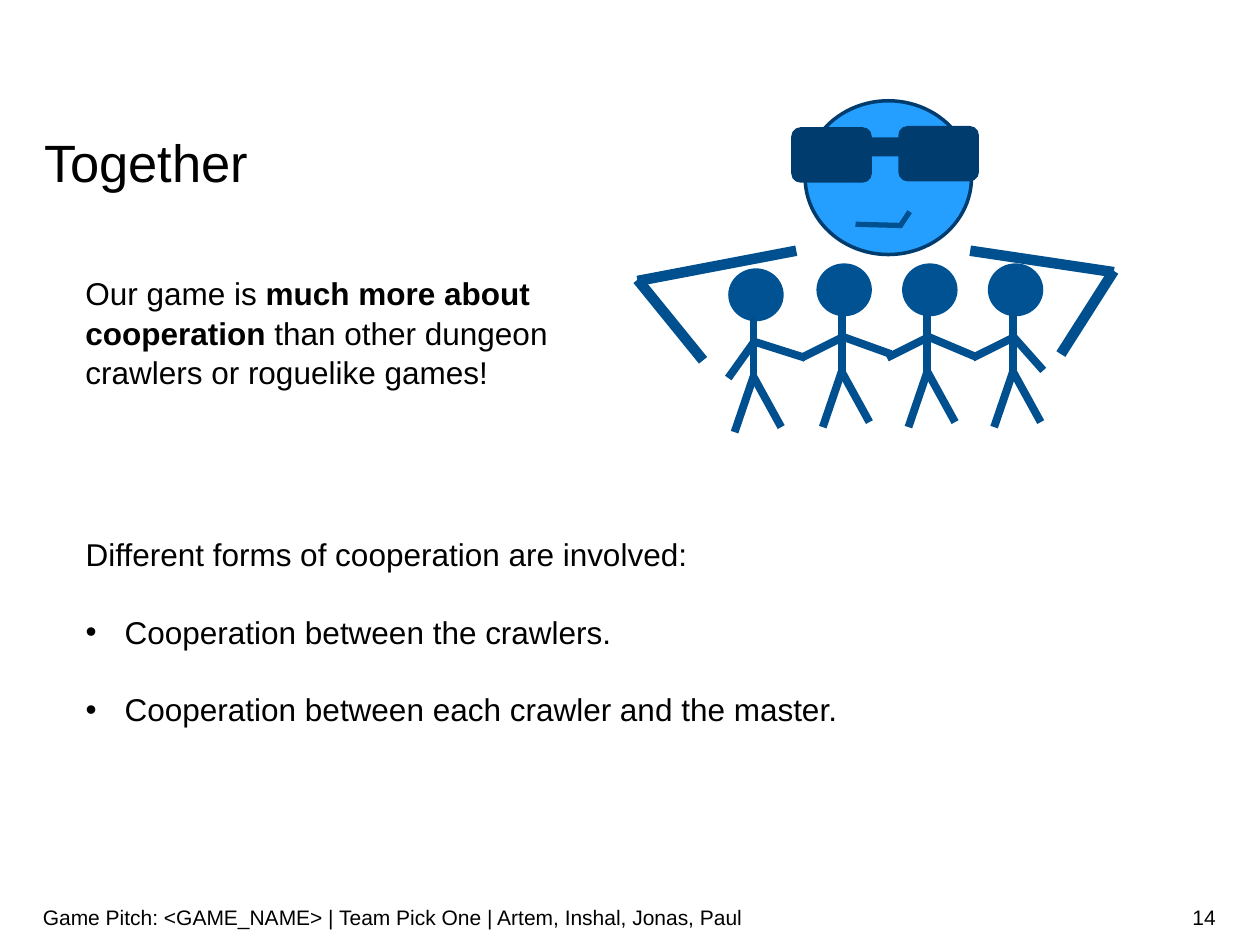
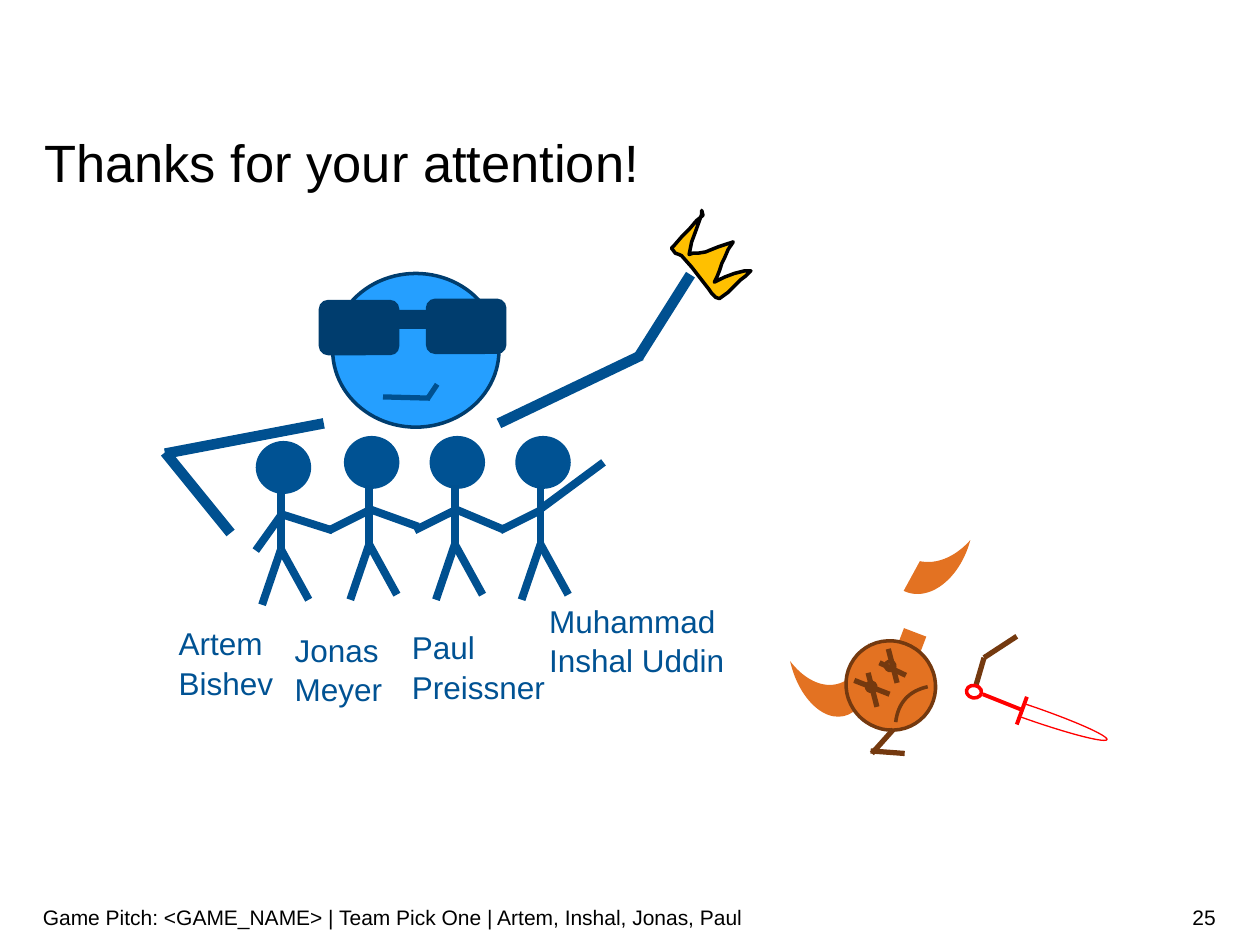
from lxml import etree
from pptx import Presentation
from pptx import util as u
from pptx.dml.color import RGBColor
from pptx.enum import shapes, text
from pptx.oxml import ns

PX = 9144
SHAPE = shapes.MSO_SHAPE
ALIGN = text.PP_ALIGN
ANCHOR = text.MSO_ANCHOR
rgb = RGBColor.from_string

BLACK, WHITE = "000000", "FFFFFF"
SKY, NAVY, LIMB, CRAWLER = "259FFF", "003D6E", "005090", "005293"
ORANGE, BROWN, RED, GOLD = "E37222", "74390F", "FF0000", "FFC000"
FOOTER = "Game Pitch: <GAME_NAME> | Team Pick One | Artem, Inshal, Jonas, Paul"


def draw_shape(page, kind, left, top, width, height, fill, outline=None, weight=2, turn=0, bends=()):
    shape = page.shapes.add_shape(kind, left * PX, top * PX, width * PX, height * PX)
    shape.shadow.inherit = False
    shape.rotation = turn
    for index, bend in enumerate(bends):
        shape.adjustments[index] = bend
    shape.fill.solid()
    shape.fill.fore_color.rgb = rgb(fill)
    if outline:
        shape.line.color.rgb = rgb(outline)
        shape.line.width = u.Pt(weight)
    else:
        shape.line.fill.background()


def draw_line(page, x1, y1, x2, y2, colour, weight):
    line = page.shapes.add_connector(
        shapes.MSO_CONNECTOR.STRAIGHT, x1 * PX, y1 * PX, x2 * PX, y2 * PX)
    line.line.color.rgb = rgb(colour)
    line.line.width = u.Pt(weight)
    etree.SubElement(line.element.spPr, ns.qn("a:effectLst"))


deck = Presentation()
deck.slide_width, deck.slide_height = 1000 * PX, 750 * PX
together = deck.slides.add_slide(deck.slide_layouts[1])
thanks = deck.slides.add_slide(deck.slide_layouts[5])

draw_shape(thanks, SHAPE.RECTANGLE, 712, 501, 19, 27, ORANGE, turn=20.9)
draw_shape(thanks, SHAPE.MOON, 702, 409, 53, 72, ORANGE, turn=284.9)
draw_shape(thanks, SHAPE.MOON, 638, 511, 52, 64, ORANGE, turn=257.3)
draw_shape(thanks, SHAPE.SMILEY_FACE, 672, 508, 70, 72, ORANGE, BROWN, turn=312.1, bends=[-0.047])
draw_shape(thanks, SHAPE.RECTANGLE, 659, 430, 83, 45, WHITE, turn=298.6)

crown_points = [
    (557, 170), (552, 184), (549, 192), (548, 197), (547, 202), (550, 201), (554, 201),
    (560, 200), (570, 196), (576, 194), (582, 192), (578, 198), (575, 205), (573, 209),
    (571, 215), (569, 220), (567, 224), (575, 220), (583, 217), (591, 215), (596, 215),
    (592, 219), (588, 222), (583, 227), (578, 232), (571, 237), (568, 236), (565, 233),
    (563, 230), (549, 212), (541, 203), (539, 202), (536, 201), (533, 197), (535, 195),
    (541, 188), (547, 182), (553, 175), (558, 171)]
outline = thanks.shapes.build_freeform(557, 167, scale=PX)
outline.add_line_segments(crown_points, close=True)
crown = outline.convert_to_shape()
crown.shadow.inherit = False
crown.fill.solid()
crown.fill.fore_color.rgb = rgb(GOLD)
crown.line.color.rgb = rgb(BLACK)
crown.line.width = u.Pt(2)
etree.SubElement(crown.get_or_add_ln(), ns.qn("a:round"))

monster_limbs = [(807, 505, 781, 522), (781, 522, 774, 546), (692, 598, 709, 579), (718, 598, 691, 596)]
monster_eyes = [(706, 551, 678, 540), (696, 561, 689, 534), (712, 542, 705, 515), (719, 536, 698, 526)]
for ends in monster_limbs + monster_eyes:
    draw_line(thanks, *ends, BROWN, 3)
draw_line(thanks, 780, 551, 810, 563, RED, 2.25)
draw_shape(thanks, SHAPE.OVAL, 768, 543, 10, 12, WHITE, RED, turn=99.8)
draw_line(thanks, 807, 575, 815, 553, RED, 2.25)
draw_shape(thanks, SHAPE.ARC, 814, 504, 11, 125, WHITE, RED, 0.75, 109.1, [73.707, 33.907])

poses = [
    (together, 0, 0, (44, 85), [(884, 216, 770, 199), (884, 215, 842, 281)]),
    (thanks, -375, 137, (70, 21), [(884, 145, 771, 199), (923, 81, 882, 146)])]
for page, dx, dy, last_hand, right_arm in poses:
    draw_shape(page, SHAPE.OVAL, 639 + dx, 80 + dy, 132, 122, SKY, NAVY)
    for left, top, width, height in [(628, 101, 64, 44), (713, 100, 64, 44), (659, 109, 64, 15)]:
        draw_shape(page, SHAPE.ROUNDED_RECTANGLE, left + dx, top + dy, width, height, NAVY)
    for x1, y1, x2, y2 in [(679, 178, 716, 179), (714, 180, 722, 168)]:
        draw_line(page, x1 + dx, y1 + dy, x2 + dx, y2 + dy, LIMB, 3)

    crawlers = [
        (578, 213, (0, 87), (61, 71)), (648, 209, (-12, 75), (59, 72)),
        (716, 209, (-12, 75), (58, 74)), (784, 209, (-12, 75), last_hand)]
    for left, top, left_hand, right_hand in crawlers:
        x, y = left + dx, top + dy
        draw_shape(page, SHAPE.OVAL, x, y, 44, 42, CRAWLER)
        limbs = [(20, 39, 20, 86), (20, 86, 5, 130), (20, 86, 42, 126),
                 (20, 58, *right_hand), (*left_hand, 20, 59)]
        for x1, y1, x2, y2 in limbs:
            draw_line(page, x + x1, y + y1, x + x2, y + y2, LIMB, 4.5)

    for x1, y1, x2, y2 in [(632, 199, 506, 223), (558, 286, 506, 222)] + right_arm:
        draw_line(page, x1 + dx, y1 + dy, x2 + dx, y2 + dy, LIMB, 6)

title_style = dict(size=30, colour=BLACK, margins=(0, 0), spacing=u.Pt(32), anchor=ANCHOR.TOP, align=ALIGN.LEFT)
text_style = dict(title_style, size=18, margins=(10, 5), spacing=1.05)
name_style = dict(text_style, colour=CRAWLER)
footer_style = dict(title_style, size=12, margins=(0, 5), spacing=1.0, anchor=ANCHOR.MIDDLE)
number_style = dict(footer_style, align=ALIGN.RIGHT)

pitch = ["Our game is ", "much more about cooperation ", "than other dungeon crawlers or roguelike games!"]
forms = [["Different forms of cooperation are involved:"],
         ["Cooperation between the crawlers."],
         ["Cooperation between each crawler and the master."]]
texts = [
    (together, None, (58, 211, 434, 101), text_style, [pitch]),
    (together, together.placeholders[1], (58, 418, 847, 162), text_style, forms),
    (thanks, None, (132, 489, 96, 71), name_style, [["Artem Bishev"]]),
    (thanks, None, (224, 494, 96, 71), name_style, [["Jonas Meyer"]]),
    (thanks, None, (317, 492, 128, 71), name_style, [["Paul Preissner"]]),
    (thanks, None, (426, 471, 163, 71), name_style, [["Muhammad Inshal Uddin"]])]
for page, heading, number in [(together, "Together", "14"), (thanks, "Thanks for your attention!", "25")]:
    texts += [
        (page, page.shapes.title, (35, 109, 931, 45), title_style, [[heading]]),
        (page, None, (34, 708, 707, 40), footer_style, [[FOOTER]]),
        (page, None, (741, 708, 224, 40), number_style, [[number]])]

for page, holder, place, style, paras in texts:
    left, top, width, height = [length * PX for length in place]
    box = holder or page.shapes.add_textbox(left, top, width, height)
    side, edge = [margin * PX for margin in style["margins"]]
    for name, value in dict(left=left, top=top, width=width, height=height).items():
        setattr(box, name, value)
    frame = box.text_frame
    frame_format = dict(
        word_wrap=True, vertical_anchor=style["anchor"], margin_left=side, margin_right=side,
        margin_top=edge, margin_bottom=edge,
        auto_size=text.MSO_AUTO_SIZE.NONE if style["size"] == 12 else text.MSO_AUTO_SIZE.SHAPE_TO_FIT_TEXT)
    for name, value in frame_format.items():
        setattr(frame, name, value)
    for index, spans in enumerate(paras):
        para = frame.add_paragraph() if index else frame.paragraphs[0]
        properties = para._p.get_or_add_pPr()
        indent = 31 * PX if index else 0
        properties.set("marL", str(indent))
        properties.set("indent", str(-indent))
        if index:
            etree.SubElement(properties, ns.qn("a:buFont"), typeface="Arial")
            etree.SubElement(properties, ns.qn("a:buChar"), char="•")
        else:
            etree.SubElement(properties, ns.qn("a:buNone"))
        para_format = dict(
            alignment=style["align"], line_spacing=style["spacing"],
            space_before=u.Pt(21.7 if index else 0), space_after=u.Pt(0))
        for name, value in para_format.items():
            setattr(para, name, value)
        for order, words in enumerate(spans):
            span = para.add_run()
            span.text = words
            for name, value in dict(name="Arial", size=u.Pt(style["size"]), bold=order == 1).items():
                setattr(span.font, name, value)
            span.font.color.rgb = rgb(style["colour"])

deck.save("out.pptx")
